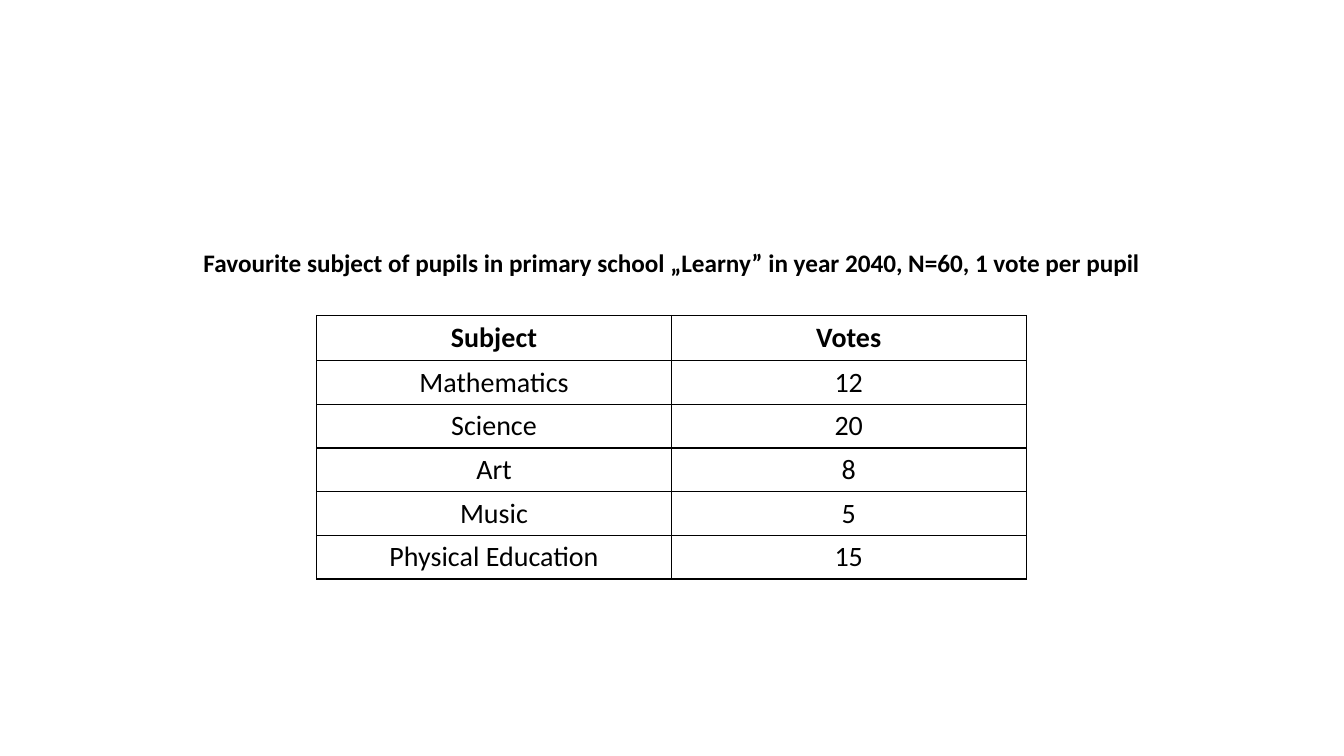
from lxml import etree
from pptx import Presentation
from pptx import util as u
from pptx.dml.color import RGBColor
from pptx.enum import text
from pptx.oxml.ns import qn

COLORS = {"ink": "000000", "paper": "FFFFFF"}
FONT = "Calibri"
VOTES = [
    ("Subject", "Votes"),
    ("Mathematics", "12"),
    ("Science", "20"),
    ("Art", "8"),
    ("Music", "5"),
    ("Physical Education", "15"),
]


def write_centred(paragraph, words, size, bold):
    """Add one centred run of text to a paragraph."""
    paragraph.alignment = text.PP_ALIGN.CENTER
    run = paragraph.add_run()
    run.text = words
    run.font.name = FONT
    run.font.size = u.Pt(size)
    run.font.bold = bold
    run.font.color.rgb = RGBColor.from_string(COLORS["ink"])


def draw_borders(cell):
    """Give a table cell a thin solid line on all four sides."""
    properties = cell._tc.get_or_add_tcPr()
    for side in ("a:lnL", "a:lnR", "a:lnT", "a:lnB"):
        line = etree.SubElement(properties, qn(side), w=str(u.Pt(1)))
        fill = etree.SubElement(line, qn("a:solidFill"))
        etree.SubElement(fill, qn("a:srgbClr"), val=COLORS["ink"])


prs = Presentation()
prs.slide_width, prs.slide_height = u.Cm(33.87), u.Cm(19.05)
slide = prs.slides.add_slide(prs.slide_layouts[6])
slide.background.fill.solid()
slide.background.fill.fore_color.rgb = RGBColor.from_string(COLORS["paper"])

# Heading above the table
heading = slide.shapes.add_textbox(u.Cm(4.5), u.Cm(6.2), u.Cm(24.87), u.Cm(0.94))
heading.text_frame.word_wrap = False
heading.text_frame.auto_size = text.MSO_AUTO_SIZE.SHAPE_TO_FIT_TEXT
heading_line = heading.text_frame.paragraphs[0]
heading_line.line_spacing = 0.9
heading_line.space_after = u.Pt(6)
write_centred(
    heading_line,
    "Favourite subject of pupils in primary school „Learny” in year 2040, N=60, 1 vote per pupil",
    18,
    True,
)

# Votes per subject
header_height, row_height, column_width = u.Cm(1.14), u.Cm(1.1), u.Cm(8.94)
votes_table = slide.shapes.add_table(
    len(VOTES), 2, u.Cm(7.98), u.Cm(7.95), 2 * column_width,
    header_height + (len(VOTES) - 1) * row_height,
).table
votes_table.first_row = False
votes_table.horz_banding = False
for column in votes_table.columns:
    column.width = column_width

for row_number, entries in enumerate(VOTES):
    is_header = row_number == 0
    votes_table.rows[row_number].height = header_height if is_header else row_height
    for column_number, entry in enumerate(entries):
        cell = votes_table.cell(row_number, column_number)
        draw_borders(cell)
        cell.fill.background()
        cell.vertical_anchor = text.MSO_ANCHOR.MIDDLE
        cell.margin_top = cell.margin_bottom = u.Cm(0.1)
        write_centred(cell.text_frame.paragraphs[0], entry, 20, is_header)

prs.save("out.pptx")
